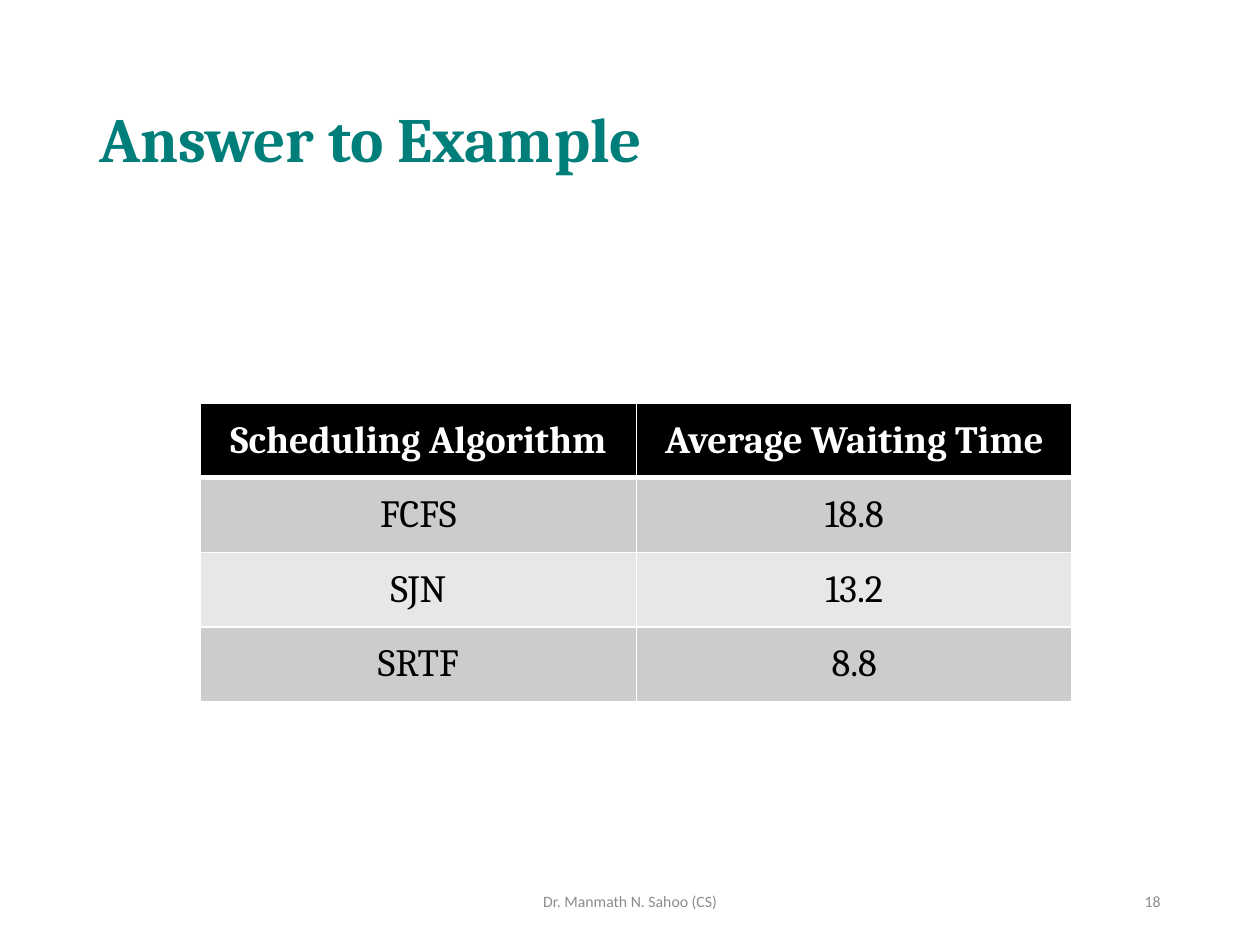
import pptx
import pptx.util
import pptx.dml.color
import pptx.enum.text
import pptx.oxml
import pptx.oxml.ns

Inches, Pt = pptx.util.Inches, pptx.util.Pt
RGB = pptx.dml.color.RGBColor
Align = pptx.enum.text.PP_ALIGN
Anchor = pptx.enum.text.MSO_ANCHOR

TEAL = RGB(0x00, 0x7E, 0x7A)
GRAY = RGB(0x8C, 0x8C, 0x8C)
BLACK = RGB(0, 0, 0)
WHITE = RGB(255, 255, 255)
DARK = RGB(0xCC, 0xCC, 0xCC)
LIGHT = RGB(0xE7, 0xE7, 0xE7)

TITLE = dict(name="Cambria", size=Pt(36), bold=True)
SMALL = dict(name="Calibri", size=Pt(9), bold=False)

# text, (left, top, width, height), alignment, font, colour, line spacing
TEXTS = [
    ("Answer to Example", (0.69, 0.4, 8.62, 1.45), Align.LEFT, TITLE, TEAL, 0.9),
    ("Dr. Manmath N. Sahoo (CS)", (3.31, 6.95, 3.38, 0.4), Align.CENTER, SMALL, GRAY, 1.0),
    ("18", (7.06, 6.95, 2.25, 0.4), Align.RIGHT, SMALL, GRAY, 1.0),
]
ROWS = [
    ("Scheduling Algorithm", "Average Waiting Time"),
    ("FCFS", "18.8"),
    ("SJN", "13.2"),
    ("SRTF", "8.8"),
]
LEFT, TOP, WIDTH, HEIGHT = 1.59, 3.2, 6.92, 2.37


def style(par, align, look, color):
    par.alignment = align
    for key, value in look.items():
        setattr(par.font, key, value)
    par.font.color.rgb = color


def border(cell, sides):
    """Draw white cell borders; sides maps a tag to a width in points."""
    props = cell._tc.get_or_add_tcPr()
    for at, (tag, width) in enumerate(sides.items()):
        props.insert(at, pptx.oxml.parse_xml(
            f'<a:{tag} {pptx.oxml.ns.nsdecls("a")} w="{Pt(width)}">'
            f'<a:solidFill><a:srgbClr val="{WHITE}"/></a:solidFill></a:{tag}>'))


def add_text(slide, text, place, align, look, color, gap):
    frame = slide.shapes.add_textbox(*map(Inches, place)).text_frame
    frame.word_wrap = True
    frame.vertical_anchor = Anchor.MIDDLE
    par = frame.paragraphs[0]
    par.text = text
    par.line_spacing = gap
    style(par, align, look, color)


def add_grid(slide):
    place = map(Inches, (LEFT, TOP, WIDTH, HEIGHT))
    table = slide.shapes.add_table(len(ROWS), len(ROWS[0]), *place).table
    for r, row in enumerate(ROWS):
        head = r == 0
        fill = BLACK if head else DARK if r % 2 else LIGHT
        look = dict(name="Cambria", size=Pt(22), bold=head)
        sides = dict(lnL=1, lnR=1, lnT=3 if r == 1 else 1, lnB=3 if head else 1)
        for c, text in enumerate(row):
            cell = table.cell(r, c)
            cell.text = text
            cell.vertical_anchor = Anchor.MIDDLE
            cell.fill.solid()
            cell.fill.fore_color.rgb = fill
            border(cell, sides)
            style(cell.text_frame.paragraphs[0], Align.CENTER, look,
                  WHITE if head else BLACK)


def main():
    deck = pptx.Presentation()
    deck.slide_width, deck.slide_height = Inches(10), Inches(7.5)
    slide = deck.slides.add_slide(deck.slide_layouts[6])
    for item in TEXTS:
        add_text(slide, *item)
    add_grid(slide)
    deck.save("out.pptx")


if __name__ == "__main__":
    main()
